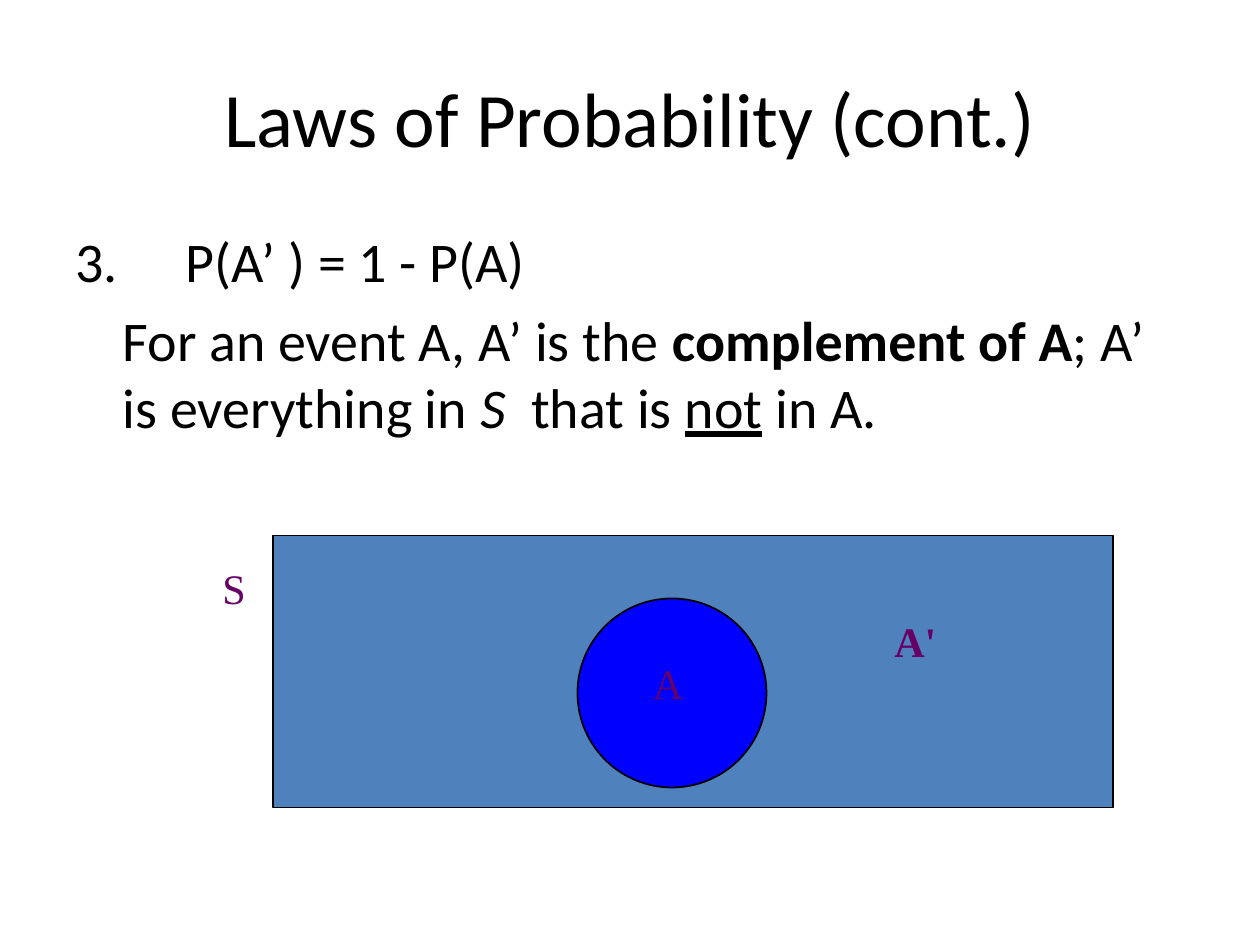
from dataclasses import dataclass

from pptx import Presentation
from pptx.dml.color import RGBColor as RGB
from pptx.enum.shapes import MSO_SHAPE as SHAPE
from pptx.enum.text import MSO_ANCHOR as ANCHOR, PP_ALIGN as ALIGN
from pptx.util import Pt


@dataclass(frozen=True)
class Theme:
    text_font: str = "Calibri"
    label_font: str = "Times New Roman"
    title_size: int = 44
    body_size: int = 32
    label_size: int = 24
    text: RGB = RGB(0x00, 0x00, 0x00)
    label: RGB = RGB(0x66, 0x00, 0x66)
    sample_space: RGB = RGB(0x4F, 0x81, 0xBD)
    event: RGB = RGB(0x00, 0x00, 0xFF)


THEME = Theme()


def add_text_frame(slide, box, wrap=True):
    tf = slide.shapes.add_textbox(*map(Pt, box)).text_frame
    tf.word_wrap = wrap
    return tf


def set_font(run, name, size, color):
    run.font.name = name
    run.font.size = Pt(size)
    run.font.color.rgb = color


def add_title(slide, text, box):
    tf = add_text_frame(slide, box)
    tf.vertical_anchor = ANCHOR.MIDDLE
    tf.text = text
    p = tf.paragraphs[0]
    p.alignment = ALIGN.CENTER
    set_font(p.runs[0], THEME.text_font, THEME.title_size, THEME.text)


def add_body(slide, paragraphs, box):
    """Each paragraph is a list of (text, style) with style a font flag or None."""
    tf = add_text_frame(slide, box)
    for i, parts in enumerate(paragraphs):
        p = tf.add_paragraph() if i else tf.paragraphs[0]
        if i:
            p.space_before = Pt(0.2 * THEME.body_size)
        # Hanging indent
        pPr = p._p.get_or_add_pPr()
        pPr.set("marL", str(Pt(27)))
        pPr.set("indent", str(-Pt(27)))
        for text, style in parts:
            r = p.add_run()
            r.text = text
            set_font(r, THEME.text_font, THEME.body_size, THEME.text)
            if style:
                setattr(r.font, style, True)


def add_region(slide, kind, box, fill):
    sp = slide.shapes.add_shape(kind, *map(Pt, box))
    sp.shadow.inherit = False
    sp.fill.solid()
    sp.fill.fore_color.rgb = fill
    sp.line.color.rgb = THEME.text
    sp.line.width = Pt(1)


def add_label(slide, text, box, bold=False):
    tf = add_text_frame(slide, box, wrap=False)
    tf.text = text
    r = tf.paragraphs[0].runs[0]
    set_font(r, THEME.label_font, THEME.label_size, THEME.label)
    r.font.bold = bold


def main():
    prs = Presentation()
    prs.slide_width, prs.slide_height = Pt(720), Pt(540)
    s = prs.slides.add_slide(prs.slide_layouts[6])

    # Title and law
    add_title(s, "Laws of Probability (cont.)", (36, 21.6, 648, 90))
    add_body(s, [
        [("3.\t\tP(A’ ) = 1 - P(A)", None)],
        [("\tFor an event A, A’ is the ", None),
         ("complement of A", "bold"),
         ("; A’ is everything in ", None),
         ("S", "italic"),
         ("  that is ", None),
         ("not", "underline"),
         (" in A.", None)],
    ], (36, 126, 648, 356.4))

    # Venn diagram
    add_region(s, SHAPE.RECTANGLE, (156, 306, 480, 155.5), THEME.sample_space)
    add_region(s, SHAPE.OVAL, (330, 342, 108, 108), THEME.event)
    add_label(s, "A", (366, 372, 30, 36))
    add_label(s, "A'", (504, 348, 42, 36), bold=True)
    add_label(s, "S", (120, 318, 30, 36))

    prs.save("out.pptx")


if __name__ == "__main__":
    main()
